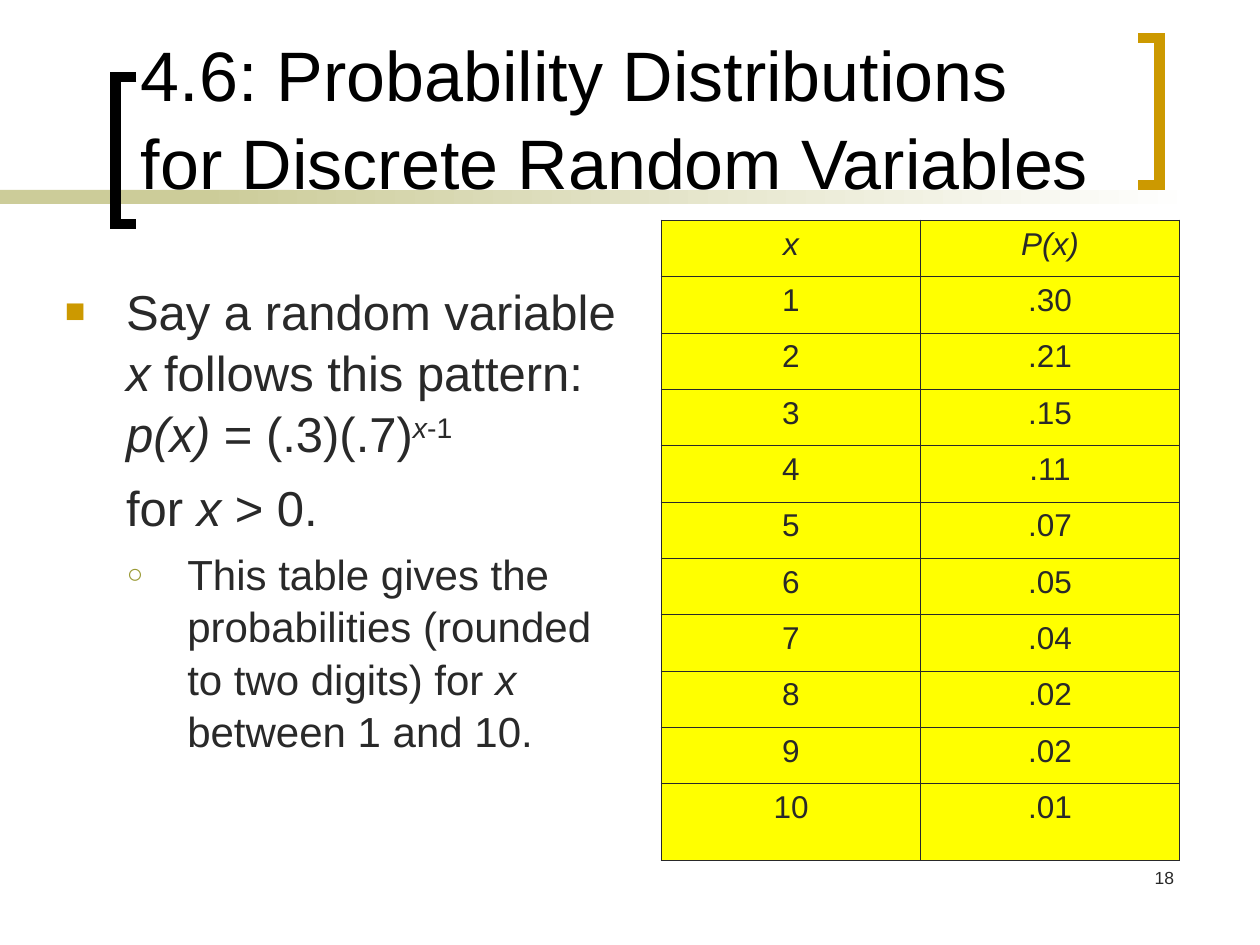
from dataclasses import dataclass

from lxml.etree import SubElement as Sub
from pptx import Presentation
from pptx.dml.color import RGBColor as RGB
from pptx.enum.shapes import MSO_SHAPE as Shape
from pptx.enum.text import MSO_ANCHOR as Anchor, PP_ALIGN as Align
from pptx.oxml.ns import qn
from pptx.util import Pt


@dataclass(frozen=True)
class Theme:
    font: str = "Arial"
    black: str = "000000"
    ink: str = "292929"
    gold: str = "CC9900"
    olive: str = "999933"
    sand: str = "CCCC99"
    white: str = "FFFFFF"
    cell: str = "FFFF00"
    title: int = 40
    body: int = 28
    sub: int = 24
    grid: int = 18
    page: int = 10
    thin: float = 0.45
    edge: float = 1.08


T = Theme()
ODDS = [".30", ".21", ".15", ".11", ".07", ".05", ".04", ".02", ".02", ".01"]


def assign(item, values):
    for name, value in values.items():
        setattr(item, name, value)


def write(para, parts, size, color=T.ink):
    """Add runs; each part is (text, marks), with i for italic, ^ for raised."""
    for text, marks in parts:
        run = para.add_run()
        run.text = text
        assign(run.font, {"name": T.font, "size": Pt(size), "italic": "i" in marks})
        run.font.color.rgb = RGB.from_string(color)
        if "^" in marks:
            run.font._element.set("baseline", "30000")


def add_text(slide, box, **form):
    frame = slide.shapes.add_textbox(*map(Pt, box)).text_frame
    assign(frame, {"word_wrap": True, **form})
    return frame


def indent(para, left, hang=0):
    props = para._p.get_or_add_pPr()
    props.set("marL", str(Pt(left)))
    props.set("indent", str(-Pt(hang)))
    return props


def add_bullet(para, char, color, percent, left, hang):
    props = indent(para, left, hang)
    Sub(Sub(props, qn("a:buClr")), qn("a:srgbClr"), val=color)
    Sub(props, qn("a:buSzPct"), val=str(percent * 1000))
    Sub(props, qn("a:buFont"), typeface=T.font)
    Sub(props, qn("a:buChar"), char=char)


def add_band(slide, left, width):
    band = slide.shapes.add_shape(Shape.RECTANGLE, Pt(left), Pt(108.6), Pt(width), Pt(8))
    band.shadow.inherit = False
    band.line.fill.background()
    return band.fill


def add_bracket(slide, back, tip, top, color):
    """Draw a bracket with its upright at back and its arms ending at tip."""
    low = top + 84
    pen = slide.shapes.build_freeform(Pt(tip), Pt(top))
    pen.add_line_segments([(Pt(x), Pt(y)) for x, y in
                           [(back, top), (back, low), (tip, low)]], close=False)
    shape = pen.convert_to_shape()
    shape.shadow.inherit = False
    shape.fill.background()
    shape.line.width = Pt(6)
    shape.line.color.rgb = RGB.from_string(color)
    Sub(shape.line._ln, qn("a:miter"), lim="800000")


def add_borders(cell, widths):
    props = cell._tc.get_or_add_tcPr()
    for spot, (side, width) in enumerate(widths.items()):
        line = props.makeelement(qn("a:ln" + side), {"w": str(Pt(width))})
        Sub(Sub(line, qn("a:solidFill")), qn("a:srgbClr"), val=T.ink)
        props.insert(spot, line)


def add_grid(slide, rows):
    count = len(rows)
    grid = slide.shapes.add_table(count, 2, Pt(378), Pt(126), Pt(296), Pt(366)).table
    for col in grid.columns:
        col.width = Pt(148)
    for r, row in enumerate(rows):
        last = r == count - 1
        grid.rows[r].height = Pt(44 if last else 32.2)
        for c, text in enumerate(row):
            cell = grid.cell(r, c)
            cell.fill.solid()
            cell.fill.fore_color.rgb = RGB.from_string(T.cell)
            outer = {"L": c == 0, "R": c == 1, "T": r == 0, "B": last}
            add_borders(cell, {side: T.edge if out else T.thin
                               for side, out in outer.items()})
            para = cell.text_frame.paragraphs[0]
            para.alignment = Align.CENTER
            write(para, [(text, "i" if r == 0 else "")], T.grid)


def add_body(slide):
    frame = add_text(slide, (30, 156, 341, 324))
    say = frame.paragraphs[0]
    add_bullet(say, "■", T.gold, 70, 35, 35)
    write(say, [("Say a random variable ", ""), ("x", "i"), (" follows this pattern: ", ""),
                ("p(x)", "i"), (" = (.3)(.7)", ""), ("x", "i^"), ("-1", "^")], T.body)
    limit = frame.add_paragraph()
    indent(limit, 35)
    limit.space_before = Pt(7)
    write(limit, [("for ", ""), ("x", "i"), (" > 0.", "")], T.body)
    note = frame.add_paragraph()
    add_bullet(note, "○", T.olive, 65, 70, 34.5)
    note.space_before = Pt(6)
    write(note, [("This table gives the probabilities (rounded to two digits) for ", ""),
                 ("x", "i"), (" between 1 and 10.", "")], T.sub)
    for para in frame.paragraphs:
        para.line_spacing = 1.04


def main():
    deck = Presentation()
    assign(deck, {"slide_width": Pt(720), "slide_height": Pt(540)})
    slide = deck.slides.add_slide(deck.slide_layouts[6])

    plain = add_band(slide, 0, 168)
    plain.solid()
    plain.fore_color.rgb = RGB.from_string(T.sand)
    fade = add_band(slide, 114, 570)
    fade.gradient()
    fade.gradient_angle = 0
    for stop, color, place in zip(fade.gradient_stops, (T.sand, T.white), (0, 1)):
        stop.color.rgb = RGB.from_string(color)
        stop.position = place
    add_bracket(slide, 66, 78, 44, T.black)
    add_bracket(slide, 662.5, 650.5, 21.6, T.gold)

    title = add_text(slide, (73.4, 8, 564, 111.6), vertical_anchor=Anchor.BOTTOM).paragraphs[0]
    title.line_spacing = 1.04
    write(title, [("4.6: Probability Distributions for Discrete Random Variables", "")],
          T.title, T.black)
    add_body(slide)
    add_grid(slide, [("x", "P(x)")] + [(str(x), p) for x, p in enumerate(ODDS, 1)])
    page = add_text(slide, (528, 492, 150, 36)).paragraphs[0]
    page.alignment = Align.RIGHT
    write(page, [("18", "")], T.page)
    deck.save("out.pptx")


if __name__ == "__main__":
    main()
